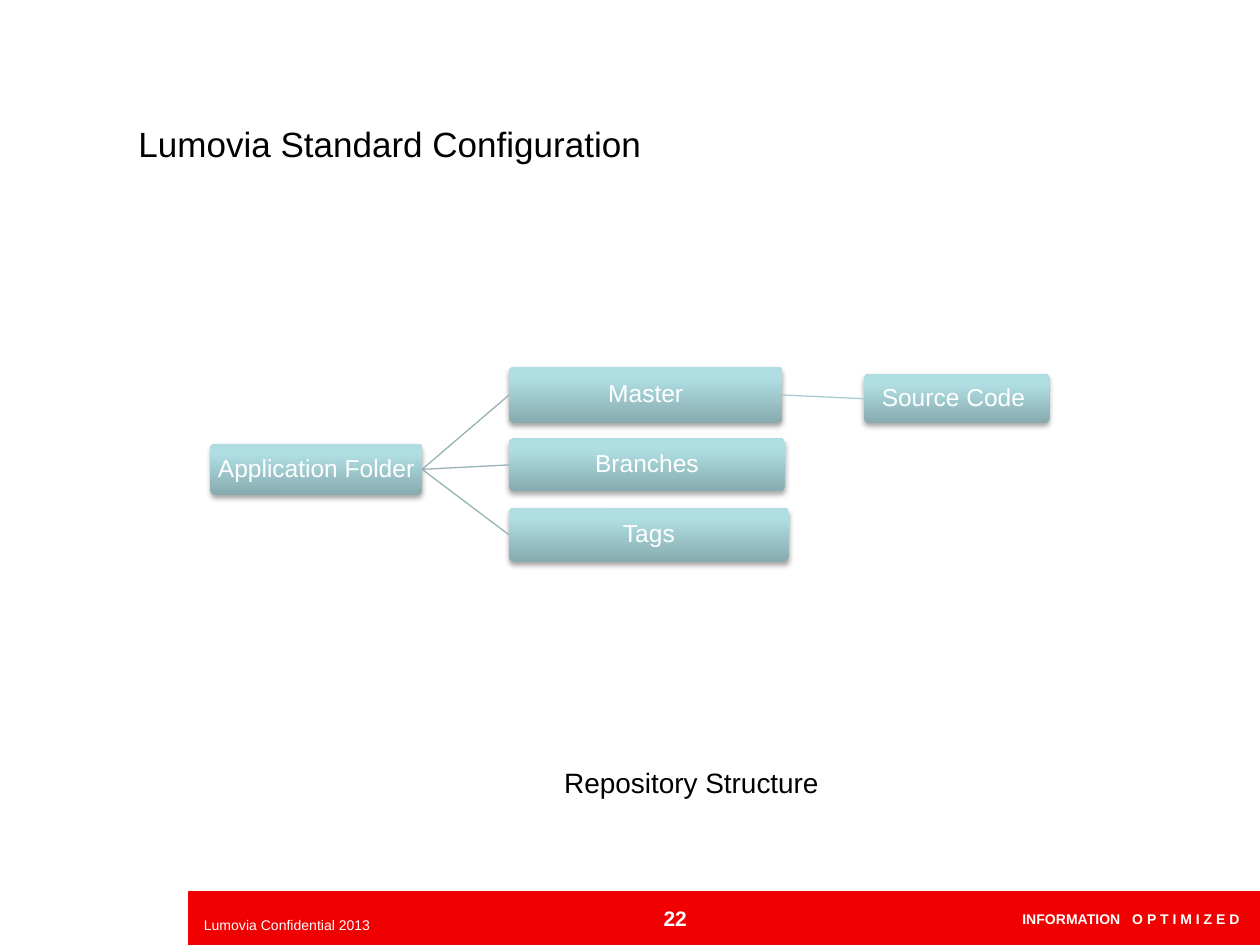
"""Build the repository structure slide."""
from copy import deepcopy

from lxml import etree
from pptx import Presentation
from pptx.dml.color import RGBColor
from pptx.enum.shapes import MSO_CONNECTOR, MSO_SHAPE
from pptx.enum.text import MSO_ANCHOR, PP_ALIGN
from pptx.oxml import parse_xml
from pptx.oxml.ns import nsdecls, qn
from pptx.util import Inches, Pt

RECTANGLE, ROUNDED = MSO_SHAPE.RECTANGLE, MSO_SHAPE.ROUNDED_RECTANGLE
STRAIGHT, MIDDLE = MSO_CONNECTOR.STRAIGHT, MSO_ANCHOR.MIDDLE
LEFT, CENTER, RIGHT = PP_ALIGN.LEFT, PP_ALIGN.CENTER, PP_ALIGN.RIGHT
LEFT_SIDE, RIGHT_SIDE = 1, 3
COLORS = {name: RGBColor.from_string(value) for name, value in {
    "red": "F00000", "white": "FFFFFF", "black": "000000",
    "dark": "87ABAE", "middle": "AFDEE2", "light": "AFE0E4",
    "branch": "96B3B6", "leaf": "AACBCE"}.items()}
SHADOW = (f'<a:outerShdw {nsdecls("a")} blurRad="39370" dist="22860" dir="5400000" rotWithShape="0">'
          '<a:srgbClr val="000000"><a:alpha val="35000"/></a:srgbClr></a:outerShdw>')


def write(shape, text, size, color, align, bold=False):
    frame = shape.text_frame
    frame.word_wrap = True
    frame.vertical_anchor = MIDDLE
    para = frame.paragraphs[0]
    para.alignment = align
    para.font.name = "Arial"
    para.font.size = Pt(size)
    para.font.bold = bold
    para.font.color.rgb = COLORS[color]
    para.add_run().text = text
    return para


deck = Presentation()
deck.slide_width, deck.slide_height = Inches(10), Inches(7.5)
page = deck.slides.add_slide(deck.slide_layouts[6])

footer = page.shapes.add_shape(RECTANGLE, Inches(1.5), Inches(7.08), Inches(8.5), Inches(0.42))
footer.shadow.inherit = False
footer.fill.solid()
footer.fill.fore_color.rgb = COLORS["red"]
footer.line.color.rgb = COLORS["red"]
footer.line.width = Pt(0.75)
footer.text_frame.margin_right = Inches(0.16)
slogan = write(footer, "INFORMATION", 8, "white", RIGHT, True)
gap = slogan.add_run()
gap.text = " "
gap.font._element.set("spc", "440")
slogan.add_run().text = "O P T I M I Z E D"

labels = [
    ("22", 4.95, 7.14, 0.6, 0.3, 12, "white", RIGHT, True),
    ("Lumovia Confidential 2013", 1.52, 7.22, 1.53, 0.24, 8, "white", LEFT, False),
    ("Lumovia Standard Configuration", 1, 0.75, 7.92, 0.78, 20, "black", LEFT, False),
    ("Repository Structure", 4.38, 6.03, 3, 0.36, 16, "black", LEFT, False),
]
for text, left, top, width, height, *style in labels:
    label = page.shapes.add_textbox(Inches(left), Inches(top), Inches(width), Inches(height))
    write(label, text, *style)

nodes = {
    "Application Folder": (1.67, 3.52, 1.68, 0.41),
    "Master": (4.04, 2.91, 2.17, 0.45),
    "Source Code ": (6.86, 2.97, 1.47, 0.39),
    "Branches": (4.04, 3.48, 2.19, 0.42),
    "Tags": (4.04, 4.03, 2.22, 0.43),
}
boxes = {}
for text, bounds in nodes.items():
    box = page.shapes.add_shape(ROUNDED, *map(Inches, bounds))
    box.adjustments[0] = 0.1
    box.line.fill.background()
    box.fill.gradient()
    box.fill.gradient_angle = 90
    stops = box._element.spPr.find(qn("a:gradFill")).find(qn("a:gsLst"))
    stops.append(deepcopy(stops[-1]))
    for stop, (position, color) in zip(box.fill.gradient_stops,
                                       [(0, "dark"), (0.8, "middle"), (1, "light")]):
        stop.position = position
        stop.color.rgb = COLORS[color]
    box.shadow.inherit = False
    box._element.spPr.find(qn("a:effectLst")).append(parse_xml(SHADOW))
    frame = box.text_frame
    frame.margin_left = frame.margin_right = Inches(0.01)
    frame.margin_top = frame.margin_bottom = Inches(0.01)
    write(box, text, 14, "white", CENTER).line_spacing = 0.9
    boxes[text] = box

links = [
    ("Application Folder", "Master", "branch"),
    ("Application Folder", "Branches", "branch"),
    ("Application Folder", "Tags", "branch"),
    ("Master", "Source Code ", "leaf"),
]
for parent, child, color in links:
    link = page.shapes.add_connector(STRAIGHT, 0, 0, 0, 0)
    link.begin_connect(boxes[parent], RIGHT_SIDE)
    link.end_connect(boxes[child], LEFT_SIDE)
    link.line.color.rgb = COLORS[color]
    link.line.width = Pt(0.75)
    etree.SubElement(link._element.spPr, qn("a:effectLst"))

deck.save("out.pptx")
